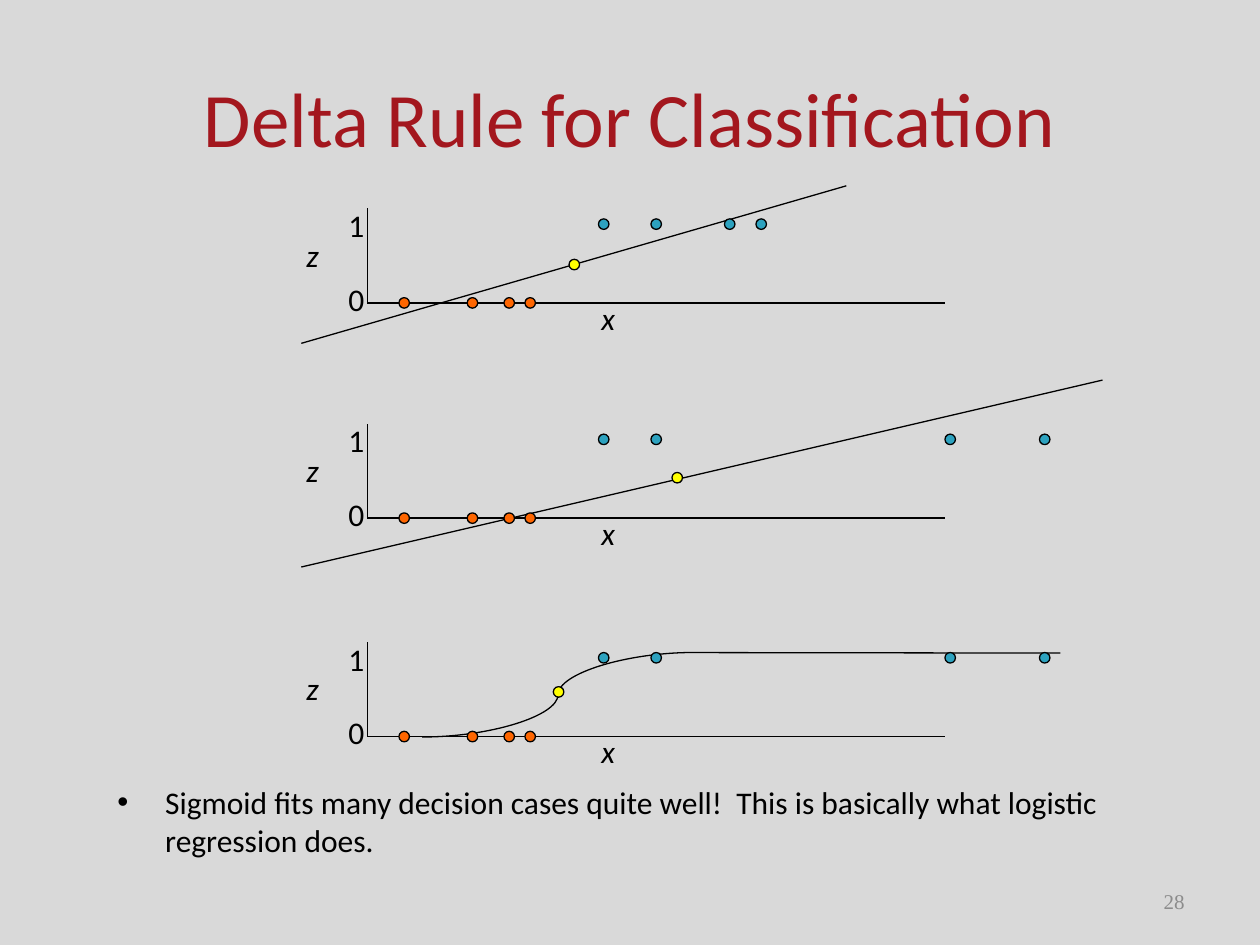
from pptx import Presentation
from pptx.dml.color import RGBColor
from pptx.enum.shapes import MSO_CONNECTOR, MSO_SHAPE
from pptx.enum.text import MSO_ANCHOR, MSO_AUTO_SIZE, PP_ALIGN
from pptx.oxml.ns import qn
from pptx.util import Inches, Pt
from lxml.etree import SubElement

COLORS = {
    "background": "D9D9D9",
    "title": "A3171E",
    "ink": "000000",
    "number": "8C8C8C",
    "one": "2DA2BF",
    "zero": "FF6600",
    "boundary": "FFFF00",
}
COLORS = {name: RGBColor.from_string(value) for name, value in COLORS.items()}

presentation = Presentation()
presentation.slide_width = Inches(10)
presentation.slide_height = Inches(7.5)
slide = presentation.slides.add_slide(presentation.slide_layouts[6])
slide.background.fill.solid()
slide.background.fill.fore_color.rgb = COLORS["background"]

COLUMNS = 120
CELL = presentation.slide_width / COLUMNS


def add_text(text, box, size, color="ink", font="Calibri", align=PP_ALIGN.LEFT,
             anchor=MSO_ANCHOR.TOP, italic=False, wrap=True):
    shape = slide.shapes.add_textbox(*(round(value * CELL) for value in box))
    frame = shape.text_frame
    frame.text = text
    frame.word_wrap = wrap
    frame.auto_size = MSO_AUTO_SIZE.NONE if wrap else MSO_AUTO_SIZE.SHAPE_TO_FIT_TEXT
    frame.vertical_anchor = anchor
    paragraph = frame.paragraphs[0]
    paragraph.alignment = align
    run_font = paragraph.runs[0].font
    run_font.name = font
    run_font.size = Pt(size)
    run_font.italic = italic
    run_font.color.rgb = COLORS[color]
    return paragraph


def add_line(start, end, kind=MSO_CONNECTOR.STRAIGHT):
    points = [round(value * CELL) for value in (*start, *end)]
    connector = slide.shapes.add_connector(kind, *points)
    connector.line.color.rgb = COLORS["ink"]
    connector.line.width = Pt(0.75)
    SubElement(connector._element.spPr, qn("a:effectLst"))


add_text("Delta Rule for Classification", (6, 3.6, 108, 15), 44, "title",
         align=PP_ALIGN.CENTER, anchor=MSO_ANCHOR.MIDDLE)

bullet = add_text(
    "Sigmoid fits many decision cases quite well!  This is basically what logistic regression does.",
    (10, 74, 102, 8), 18)
bullet.space_before = Pt(3.6)
properties = bullet._p.get_or_add_pPr()
properties.set("marL", str(Inches(0.38)))
properties.set("indent", str(-Inches(0.38)))
SubElement(properties, qn("a:buFont")).set("typeface", "Arial")
SubElement(properties, qn("a:buChar")).set("char", "•")

add_text("28", (86, 83.4, 28, 4.8), 12, "number", "Times New Roman",
         PP_ALIGN.RIGHT, MSO_ANCHOR.MIDDLE)

AXIS_LEFT, AXIS_RIGHT, AXIS_HEIGHT = 35, 90, 9
ZERO_COLUMNS = [38, 44.5, 48, 50]
AXIS_LABELS = [
    ("x", 56.1, -1, 4.8, True),
    ("z", 28, -7, 4.7, True),
    ("0", 32, -2.8, 4, False),
    ("1", 32, -9.8, 4, False),
]
STRAIGHT, CURVE = MSO_CONNECTOR.STRAIGHT, MSO_CONNECTOR.CURVE
PLOTS = [
    (28.85, [57, 62, 69, 72], (54.2, 24.7),
     [((80.6, 17.7), (28.7, 32.7), STRAIGHT)]),
    (49.35, [57, 62, 90, 99], (64, 45),
     [((105, 36.2), (28.7, 54), STRAIGHT)]),
    (70.15, [57, 62, 90, 99], (52.7, 65.4),
     [((40.2, 70.2), (66.1, 62.15), CURVE), ((66.1, 62.15), (101, 62.2), STRAIGHT)]),
]

for axis, one_columns, boundary, fit_lines in PLOTS:
    add_line((AXIS_LEFT, axis), (AXIS_RIGHT, axis))
    add_line((AXIS_LEFT, axis), (AXIS_LEFT, axis - AXIS_HEIGHT))
    for start, end, kind in fit_lines:
        add_line(start, end, kind)
    for text, left, offset, width, italic in AXIS_LABELS:
        add_text(text, (left, axis + offset, width, 4.8), 18, italic=italic, wrap=False)
    dots = [("one", column, axis - 8) for column in one_columns]
    dots += [("zero", column, axis - 0.5) for column in ZERO_COLUMNS]
    dots.append(("boundary", *boundary))
    for color, left, top in dots:
        dot = slide.shapes.add_shape(MSO_SHAPE.OVAL, round(left * CELL), round(top * CELL),
                                     round(CELL), round(CELL))
        dot.shadow.inherit = False
        dot.fill.solid()
        dot.fill.fore_color.rgb = COLORS[color]
        dot.line.color.rgb = COLORS["ink"]
        dot.line.width = Pt(0.75)

presentation.save("out.pptx")
